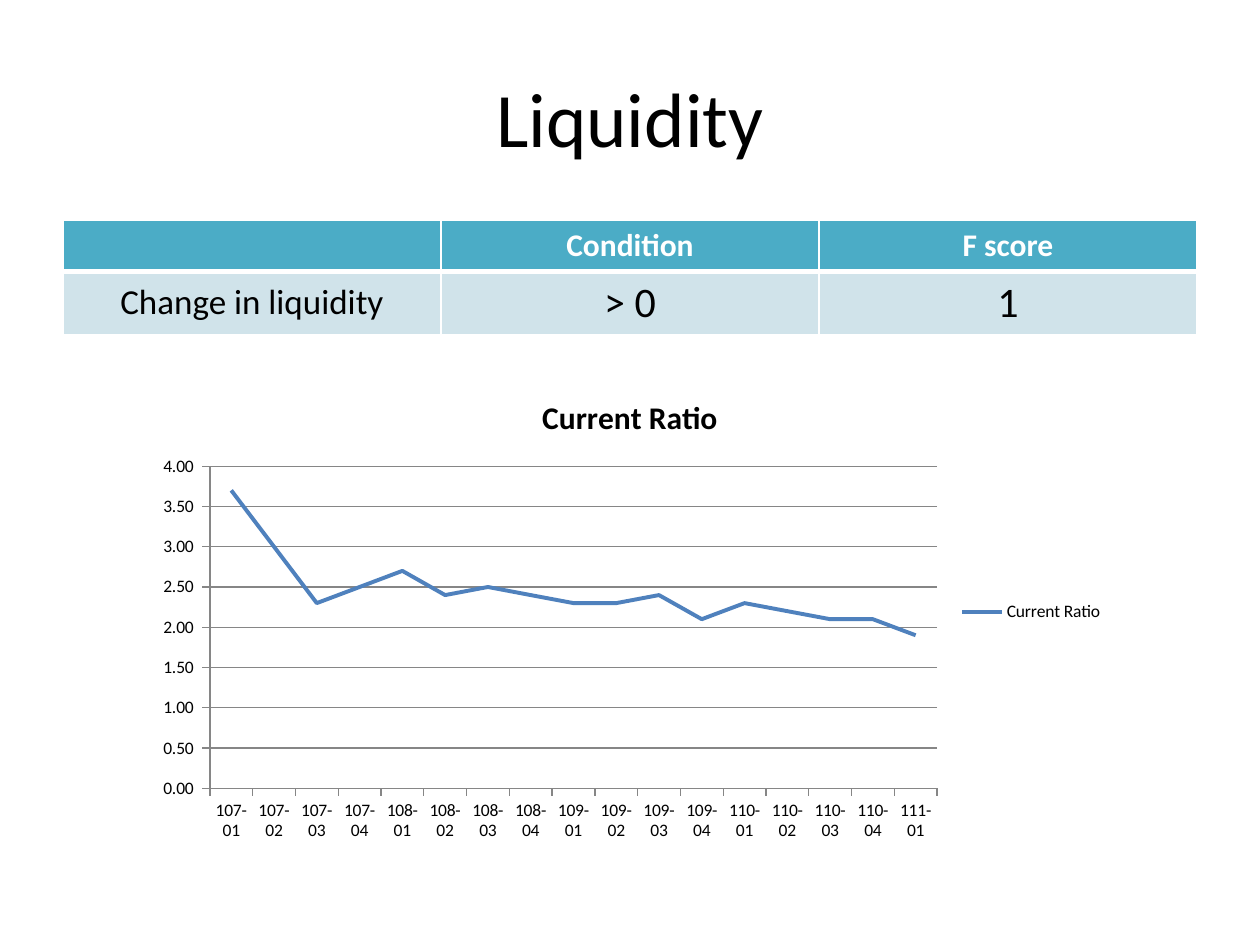
from lxml import etree
from pptx import Presentation
from pptx import util as u
from pptx.chart import data as chart_data
from pptx.dml.color import RGBColor
from pptx.enum import chart as chart_enum, text
from pptx.oxml import ns

BLACK = RGBColor(0x00, 0x00, 0x00)
WHITE = RGBColor(0xFF, 0xFF, 0xFF)
TEAL = RGBColor(0x4B, 0xAC, 0xC6)
PALE = RGBColor(0xD0, 0xE3, 0xEA)
BLUE = RGBColor(0x4F, 0x81, 0xBD)
GREY = RGBColor(0x86, 0x86, 0x86)


def write(frame, words, size, color=BLACK, bold=False):
    para = frame.paragraphs[0]
    para.alignment = text.PP_ALIGN.CENTER
    span = para.add_run()
    span.text = words
    style_font(span.font, size, color, bold)


def style_font(font, size, color=BLACK, bold=False):
    formats = {"name": "Calibri", "size": u.Pt(size), "bold": bold}
    for name, value in formats.items():
        setattr(font, name, value)
    font.color.rgb = color


deck = Presentation()
deck.slide_width = u.Cm(25.4)
deck.slide_height = u.Cm(19.05)
page = deck.slides.add_slide(deck.slide_layouts[6])

title_box = page.shapes.add_textbox(u.Cm(1.27), u.Cm(0.76), u.Cm(22.86), u.Cm(3.18))
title_box.text_frame.word_wrap = True
title_box.text_frame.vertical_anchor = text.MSO_ANCHOR.MIDDLE
write(title_box.text_frame, "Liquidity", 44)

score_rows = [
    [("", 18), ("Condition", 18), ("F score", 18)],
    [("Change in liquidity", 20), ("> 0", 24), ("1", 24)],
]
table = page.shapes.add_table(
    2, 3, u.Cm(1.27), u.Cm(4.44), u.Cm(22.86), u.Cm(2.06)
).table
table.horz_banding = False
for row_index, row in enumerate(score_rows):
    header = row_index == 0
    for column_index, (words, size) in enumerate(row):
        cell = table.cell(row_index, column_index)
        cell.fill.solid()
        cell.fill.fore_color.rgb = TEAL if header else PALE
        cell.vertical_anchor = text.MSO_ANCHOR.TOP if header else text.MSO_ANCHOR.MIDDLE
        if words:
            write(cell.text_frame, words, size, WHITE if header else BLACK, header)
        widths = {"L": 1, "R": 1, "T": 1 if header else 3, "B": 3 if header else 1}
        properties = cell._tc.get_or_add_tcPr()
        for position, (side, width) in enumerate(widths.items()):
            border = etree.Element(ns.qn("a:ln" + side), w=str(u.Pt(width)))
            fill = etree.SubElement(border, ns.qn("a:solidFill"))
            etree.SubElement(fill, ns.qn("a:srgbClr"), val=str(WHITE))
            properties.insert(position, border)

quarters = [f"{year}-{quarter:02}" for year in range(107, 111) for quarter in range(1, 5)]
ratios = chart_data.CategoryChartData(number_format="0.00_ ")
ratios.categories = quarters + ["111-01"]
ratios.add_series("Current Ratio", [
    3.7, 3, 2.3, 2.5, 2.7, 2.4, 2.5, 2.4, 2.3,
    2.3, 2.4, 2.1, 2.3, 2.2, 2.1, 2.1, 1.9,
])
chart = page.shapes.add_chart(
    chart_enum.XL_CHART_TYPE.LINE, u.Cm(2.9), u.Cm(7.53), u.Cm(19.6), u.Cm(9.6), ratios
).chart
style_font(chart.font, 10)
chart.has_title = True
write(chart.chart_title.text_frame, "Current Ratio", 18, bold=True)
chart.chart_title.include_in_layout = False
chart.has_legend = True
chart.legend.position = chart_enum.XL_LEGEND_POSITION.RIGHT
chart.legend.include_in_layout = False

plot = chart.plots[0]
plot.vary_by_categories = False
series = plot.series[0]
series.smooth = False
series.marker.style = chart_enum.XL_MARKER_STYLE.NONE
series.format.line.color.rgb = BLUE
series.format.line.width = u.Pt(2.25)

value_axis = chart.value_axis
scale = {"minimum_scale": 0, "maximum_scale": 4, "major_unit": 0.5, "has_major_gridlines": True}
for name, value in scale.items():
    setattr(value_axis, name, value)
value_axis.tick_labels.number_format = "0.00_ "
value_axis.tick_labels.number_format_is_linked = False
for axis in (value_axis, chart.category_axis):
    axis.major_tick_mark = chart_enum.XL_TICK_MARK.OUTSIDE
    axis.minor_tick_mark = chart_enum.XL_TICK_MARK.NONE
for lined in (value_axis, chart.category_axis, value_axis.major_gridlines):
    lined.format.line.color.rgb = GREY
    lined.format.line.width = u.Pt(0.75)

deck.save("out.pptx")
